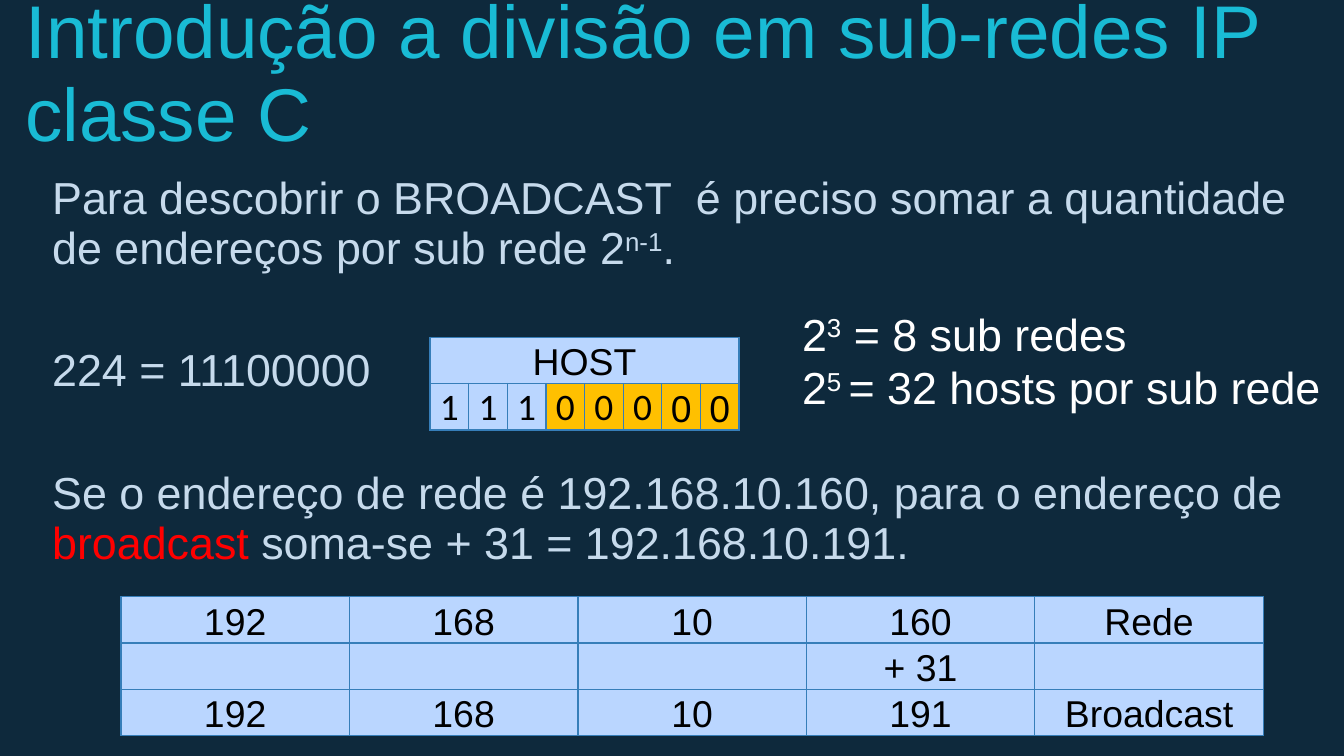
"""Builds the slide on finding the broadcast address of a class C subnet."""
from lxml import etree
from pptx import Presentation
from pptx.dml.color import RGBColor
from pptx.enum.text import MSO_ANCHOR, PP_ALIGN
from pptx.oxml.ns import qn
from pptx.util import Pt

TOP, BOTTOM = MSO_ANCHOR.TOP, MSO_ANCHOR.BOTTOM
LEFT, CENTER = PP_ALIGN.LEFT, PP_ALIGN.CENTER

THEME = {
    "font": "Arial", "digit_font": "Calibri",
    "background": "0E293C", "title": "19BBD5", "body": "C6DAEC",
    "accent": "FF0000", "note": "FFFFFF", "cell_text": "000000",
    "cell": "BAD6FF", "host_bit": "FFC000", "border": "367EB9",
    "title_size": 40, "body_size": 24, "cell_size": 20,
}

TITLE = [["Introdução a divisão em sub-redes IP classe C"]]
BODY = [
    ["Para descobrir o BROADCAST  é preciso somar a quantidade de endereços por sub rede 2",
     ("n-1", "superscript"), "."],
    ["224 = 11100000"],
    ["Se o endereço de rede é 192.168.10.160, para o endereço de ",
     ("broadcast", "accent"), " soma-se + 31 = 192.168.10.191."],
]
COUNTS = [
    ["2", ("3", "superscript"), " = 8 sub redes"],
    ["2", ("5 ", "superscript"), "= 32 hosts por sub rede"],
]
HOST_BITS = [["HOST"] + [""] * 7, list("11100000")]
ADDRESSES = [
    ["192", "168", "10", "160", "Rede"],
    ["", "", "", "+ 31", ""],
    ["192", "168", "10", "191", "Broadcast"],
]


def write(frame, paragraphs, size, color, font=THEME["font"], align=LEFT,
          line_spacing=None, first_gap=0, gap=0, indent=0):
    for index, parts in enumerate(paragraphs):
        paragraph = frame.add_paragraph() if index else frame.paragraphs[0]
        paragraph.alignment = align
        paragraph.space_before = Pt(gap if index else first_gap)
        if line_spacing:
            paragraph.line_spacing = line_spacing
        if indent:
            properties = paragraph._p.get_or_add_pPr()
            properties.set("marL", str(Pt(indent)))
            properties.set("indent", "0")
        for part in parts:
            text, style = (part, None) if isinstance(part, str) else part
            run = paragraph.add_run()
            run.text = text
            run.font.size = Pt(size)
            run.font.name = font
            run.font.color.rgb = RGBColor.from_string(
                THEME["accent"] if style == "accent" else color)
            if style == "superscript":
                run._r.get_or_add_rPr().set("baseline", "30000")


def add_text(slide, box, paragraphs, inset=(7.2, 7.2), anchor=TOP, **text_format):
    frame = slide.shapes.add_textbox(*map(Pt, box)).text_frame
    frame.word_wrap = True
    frame.vertical_anchor = anchor
    frame.margin_left = frame.margin_right = Pt(inset[0])
    frame.margin_top = frame.margin_bottom = Pt(inset[1])
    write(frame, paragraphs, **text_format)


def add_borders(cell):
    properties = cell._tc.get_or_add_tcPr()
    for side in ("a:lnL", "a:lnR", "a:lnT", "a:lnB"):
        line = etree.SubElement(properties, qn(side), w=str(Pt(0.75)))
        fill = etree.SubElement(line, qn("a:solidFill"))
        etree.SubElement(fill, qn("a:srgbClr"), val=THEME["border"])


def add_grid(slide, left, top, width, row_heights, rows, cell_style):
    columns = len(rows[0])
    table = slide.shapes.add_table(
        len(rows), columns, Pt(left), Pt(top), Pt(width), Pt(sum(row_heights))).table
    table.first_row = table.horz_banding = False
    for column in table.columns:
        column.width = Pt(width / columns)
    for row_index, (height, values) in enumerate(zip(row_heights, rows)):
        table.rows[row_index].height = Pt(height)
        for column_index, text in enumerate(values):
            cell = table.cell(row_index, column_index)
            fill, font = cell_style(row_index, column_index)
            cell.margin_left = cell.margin_right = cell.margin_top = Pt(0.7)
            cell.margin_bottom = Pt(0)
            cell.vertical_anchor = BOTTOM
            add_borders(cell)
            cell.fill.solid()
            cell.fill.fore_color.rgb = RGBColor.from_string(fill)
            write(cell.text_frame, [[text] if text else []], size=THEME["cell_size"],
                  color=THEME["cell_text"], font=font, align=CENTER)
    return table


def host_style(row, column):
    fill = THEME["host_bit"] if row and column >= 3 else THEME["cell"]
    font = THEME["digit_font"] if row and column < 6 else THEME["font"]
    return fill, font


def address_style(row, column):
    return THEME["cell"], THEME["font"]


def main():
    presentation = Presentation()
    presentation.slide_width, presentation.slide_height = Pt(720), Pt(405)
    slide = presentation.slides.add_slide(presentation.slide_layouts[6])
    slide.background.fill.solid()
    slide.background.fill.fore_color.rgb = RGBColor.from_string(THEME["background"])

    add_text(slide, (6.5, 41, 685.5, 51), TITLE, anchor=BOTTOM,
             size=THEME["title_size"], color=THEME["title"], line_spacing=0.93)
    add_text(slide, (10.1, 86.4, 698.4, 131), BODY, size=THEME["body_size"],
             color=THEME["body"], line_spacing=0.93, first_gap=6, gap=38.7, indent=10.8)
    host_table = add_grid(slide, 230.4, 180.7, 165.6, (23, 25), HOST_BITS, host_style)
    host_table.cell(0, 0).merge(host_table.cell(0, 7))
    add_text(slide, (422.6, 160.6, 297.4, 82), COUNTS, inset=(7.2, 3.6),
             size=THEME["body_size"], color=THEME["note"])
    add_grid(slide, 64.8, 319.7, 612, (24.8,) * 3, ADDRESSES, address_style)
    presentation.save("out.pptx")


if __name__ == "__main__":
    main()
